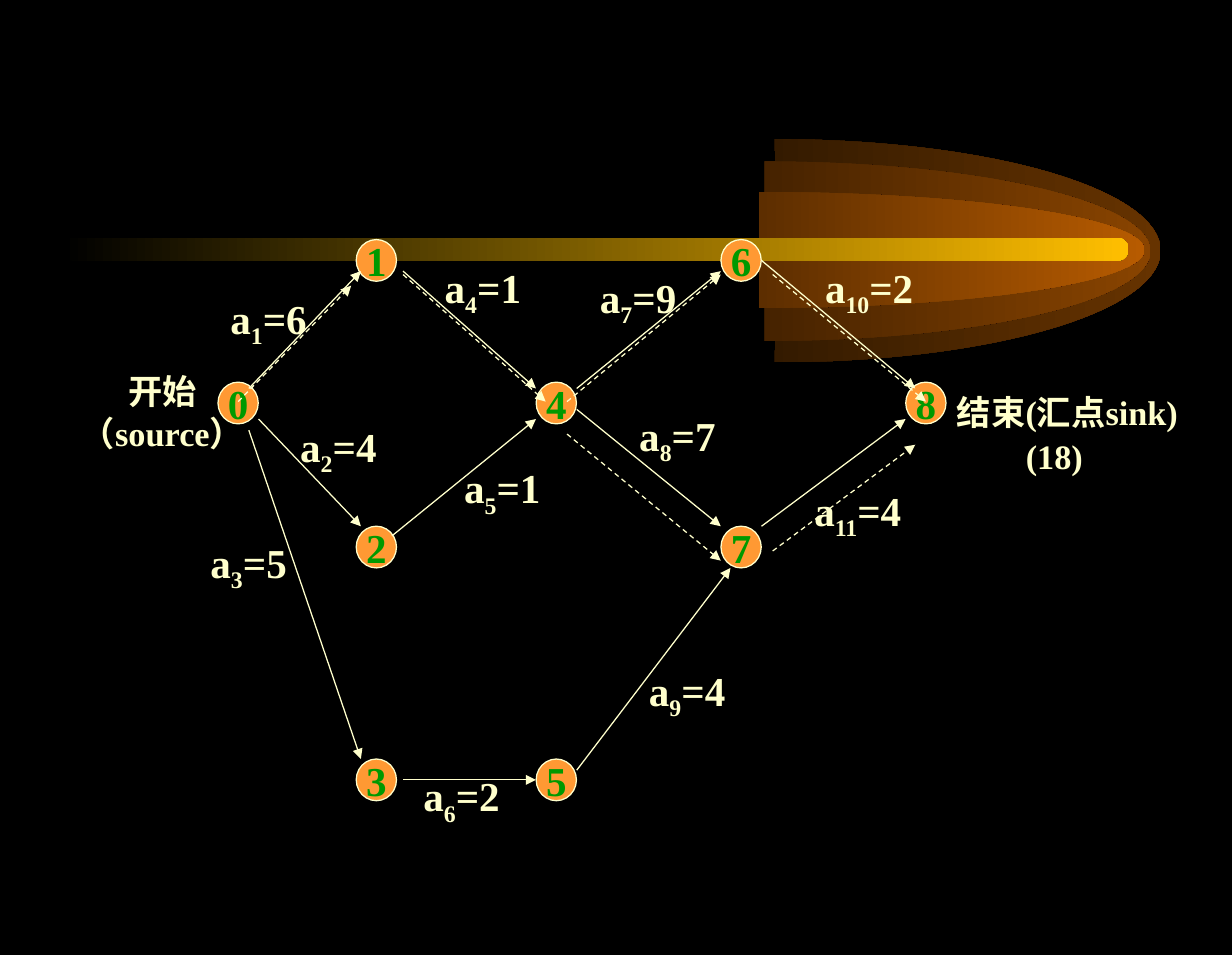
from collections import namedtuple
from dataclasses import dataclass

from lxml.etree import SubElement
from pptx import Presentation
from pptx.dml.color import RGBColor
from pptx.enum.dml import MSO_LINE
from pptx.enum.shapes import MSO_CONNECTOR, MSO_SHAPE
from pptx.enum.text import MSO_ANCHOR, MSO_AUTO_SIZE, PP_ALIGN
from pptx.oxml.ns import qn
from pptx.util import Cm, Pt

Box = namedtuple("Box", "left top width height")


@dataclass(frozen=True)
class Theme:
    font: str = "Times New Roman"
    background: str = "000000"
    ink: str = "FFFFCC"
    node: str = "FF9933"
    digit: str = "009900"
    glows: tuple = ("663300", "894400", "B75B00")
    beam: str = "FFBF00"
    label_size: int = 24
    caption_size: int = 20
    line_width: float = 0.75


THEME = Theme()
NODE_WIDTH, NODE_HEIGHT = 0.83, 0.86

# Node centres lie on a grid of columns and rows, in cm from the graph's corner.
COLUMNS = (3.67, 6.52, 10.23, 14.04, 17.85)
ROWS = (0.44, 3.38, 6.35, 11.15)
NODES = {0: (0, 1), 2: (1, 2), 5: (2, 3), 3: (1, 3), 6: (3, 0),
         1: (1, 0), 7: (3, 2), 4: (2, 1), 8: (4, 1)}

# Start node, end node, then the offset of each end from its node's centre.
ACTIVITIES = [
    (0, 1, (0.22, -0.3), (-0.32, 0.22)),
    (1, 4, (0.55, 0.22), (-0.42, -0.3)),
    (4, 6, (0.42, -0.3), (-0.42, 0.22)),
    (4, 7, (0.42, 0.13), (-0.42, -0.43)),
    (0, 2, (0.42, 0.33), (-0.32, -0.43)),
    (2, 4, (0.32, -0.23), (-0.42, 0.33)),
    (0, 3, (0.22, 0.56), (-0.32, -0.43)),
    (3, 5, (0.55, 0), (-0.42, 0)),
    (5, 7, (0.42, -0.2), (-0.22, 0.43)),
    (7, 8, (0.42, -0.43), (-0.42, 0.33)),
    (6, 8, (0.42, 0), (-0.22, -0.3)),
]
CRITICAL_PATHS = [
    (0, 1, (0, -0.03), (-0.52, 0.52)),
    (1, 4, (0.55, 0.29), (-0.22, -0.03)),
    (4, 6, (0.22, -0.03), (-0.42, 0.29)),
    (4, 7, (0.22, 0.64), (-0.42, 0.28)),
    (7, 8, (0.65, 0.08), (-0.22, 0.86)),
    (6, 8, (0.65, 0.29), (0, -0.03)),
]

# Activity number, duration, left, top
LABELS = [
    (1, 6, 3.26, 0.99), (4, 1, 7.68, 0.35), (7, 9, 10.88, 0.56),
    (10, 2, 15.52, 0.35), (11, 4, 15.3, 4.95), (8, 7, 11.69, 3.4),
    (9, 4, 11.89, 8.66), (6, 2, 7.24, 10.84), (3, 5, 2.85, 6.02),
    (2, 4, 4.7, 3.63), (5, 1, 8.08, 4.49),
]
CAPTIONS = [
    (["开始", "（source）"], Box(0, 2.59, 4.22, 1.96), PP_ALIGN.CENTER),
    (["结束(汇点sink)"], Box(18.24, 3.02, 5.6, 1.12), PP_ALIGN.LEFT),
]
TOTAL = (["(18)"], Box(19.66, 3.91, 2.79, 1.12), PP_ALIGN.LEFT)


def apply(target, formats):
    for name, value in formats.items():
        setattr(target, name, value)


def lengths(box, part):
    """Lengths of a part whose corner is measured from the box's corner."""
    return (Cm(box.left + part.left), Cm(box.top + part.top),
            Cm(part.width), Cm(part.height))


def add_span(para, text, size, color):
    span = para.add_run()
    span.text = text
    apply(span.font, {"name": THEME.font, "size": Pt(size), "bold": True})
    span.font.color.rgb = RGBColor.from_string(color)
    return span


def add_text_box(shapes, box, part, wrap=False):
    frame = shapes.add_textbox(*lengths(box, part)).text_frame
    apply(frame, {"word_wrap": wrap,
                  "auto_size": MSO_AUTO_SIZE.SHAPE_TO_FIT_TEXT})
    return frame


def fade_from_background(shape, color):
    shape.shadow.inherit = False
    shape.line.fill.background()
    shape.fill.gradient()
    shape.fill.gradient_angle = 0
    for stop, value in zip(shape.fill.gradient_stops, (THEME.background, color)):
        stop.color.rgb = RGBColor.from_string(value)


def add_half_ellipse(shapes, box, part):
    """Right half of an ellipse, flat side on the left of its part."""
    whole = part._replace(left=part.left - part.width, width=2 * part.width)
    arc = shapes.add_shape(MSO_SHAPE.ARC, *lengths(box, whole))
    # Angles of 270 and 90 degrees, in units of 5/3 degree.
    arc.adjustments[0], arc.adjustments[1] = 162, 54
    return arc


def add_comet(page, box):
    shapes = page.shapes.add_group_shape().shapes
    glow_parts = (Box(14.71, 0, 7.95, 4.6), Box(14.5, 0.46, 7.95, 3.7),
                  Box(14.38, 1.09, 7.95, 2.39))
    for part, color in zip(glow_parts, THEME.glows):
        fade_from_background(add_half_ellipse(shapes, box, part), color)
    beam = shapes.add_shape(MSO_SHAPE.ROUNDED_RECTANGLE,
                            *lengths(box, Box(0, 2.03, 22, 0.48)))
    beam.adjustments[0] = 0.5
    fade_from_background(beam, THEME.beam)


def add_node(shapes, box, number):
    column, row = NODES[number]
    part = Box(COLUMNS[column] - NODE_WIDTH / 2, ROWS[row] - NODE_HEIGHT / 2,
               NODE_WIDTH, NODE_HEIGHT)
    node = shapes.add_shape(MSO_SHAPE.OVAL, *lengths(box, part))
    node.shadow.inherit = False
    node.fill.solid()
    node.fill.fore_color.rgb = RGBColor.from_string(THEME.node)
    node.line.color.rgb = RGBColor.from_string(THEME.ink)
    node.line.width = Pt(THEME.line_width)
    apply(node.text_frame, {"word_wrap": False,
                            "vertical_anchor": MSO_ANCHOR.MIDDLE})
    para = node.text_frame.paragraphs[0]
    para.alignment = PP_ALIGN.CENTER
    add_span(para, str(number), THEME.label_size, THEME.digit)


def add_arrow(shapes, box, start, end, start_offset, end_offset, dash=None):
    ends = []
    for number, (across, down) in ((start, start_offset), (end, end_offset)):
        column, row = NODES[number]
        ends += [Cm(box.left + COLUMNS[column] + across),
                 Cm(box.top + ROWS[row] + down)]
    arrow = shapes.add_connector(MSO_CONNECTOR.STRAIGHT, *ends)
    arrow.line.color.rgb = RGBColor.from_string(THEME.ink)
    apply(arrow.line, {"width": Pt(THEME.line_width), "dash_style": dash})
    properties = arrow._element.spPr
    SubElement(properties.find(qn("a:ln")), qn("a:tailEnd"), type="triangle")
    SubElement(properties, qn("a:effectLst"))


def add_activity_label(shapes, box, number, duration, left, top):
    width = 2.08 if number < 10 else 2.36
    para = add_text_box(shapes, box, Box(left, top, width, 1.42)).paragraphs[0]
    spans = [add_span(para, text, THEME.label_size, THEME.ink)
             for text in ("a", str(number), f"={duration}")]
    spans[1]._r.get_or_add_rPr().set("baseline", "-25000")


def add_caption(shapes, box, lines, part, alignment, wrap=False):
    frame = add_text_box(shapes, box, part, wrap)
    for index, line in enumerate(lines):
        para = frame.add_paragraph() if index else frame.paragraphs[0]
        para.alignment = alignment
        add_span(para, line, THEME.caption_size, THEME.ink)


def add_activity_graph(page, box):
    shapes = page.shapes.add_group_shape().shapes
    for number in NODES:
        add_node(shapes, box, number)
    for activity in ACTIVITIES:
        add_arrow(shapes, box, *activity)
    for label in LABELS:
        add_activity_label(shapes, box, *label)
    for activity in CRITICAL_PATHS:
        add_arrow(shapes, box, *activity, dash=MSO_LINE.DASH)
    for caption in CAPTIONS:
        add_caption(shapes, box, *caption)
    add_caption(page.shapes, box, *TOTAL, wrap=True)


def main():
    deck = Presentation()
    apply(deck, {"slide_width": Cm(25.4), "slide_height": Cm(19.69)})
    page = deck.slides.add_slide(deck.slide_layouts[6])
    page.background.fill.solid()
    page.background.fill.fore_color.rgb = RGBColor.from_string(THEME.background)
    add_comet(page, Box(1.27, 2.87, 22.65, 4.6))
    add_activity_graph(page, Box(1.24, 4.93, 23.8, 12.27))
    deck.save("out.pptx")


if __name__ == "__main__":
    main()
